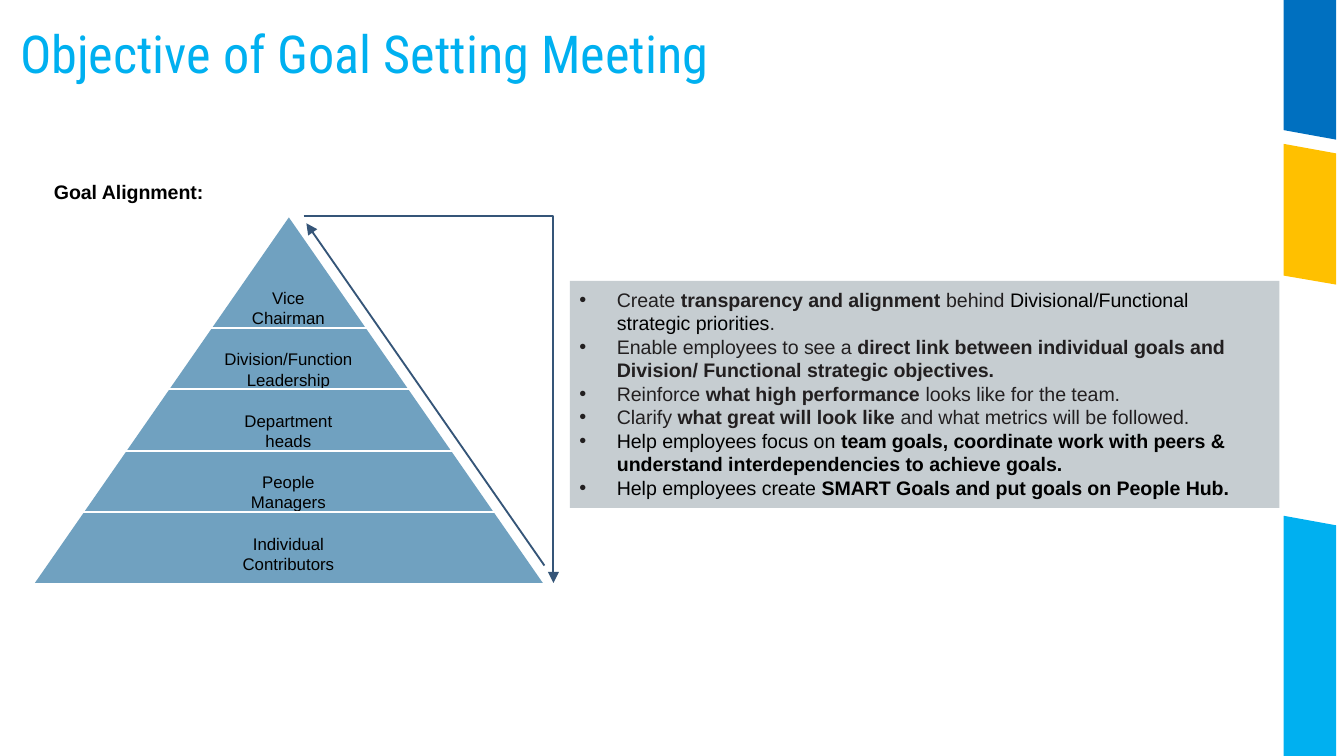
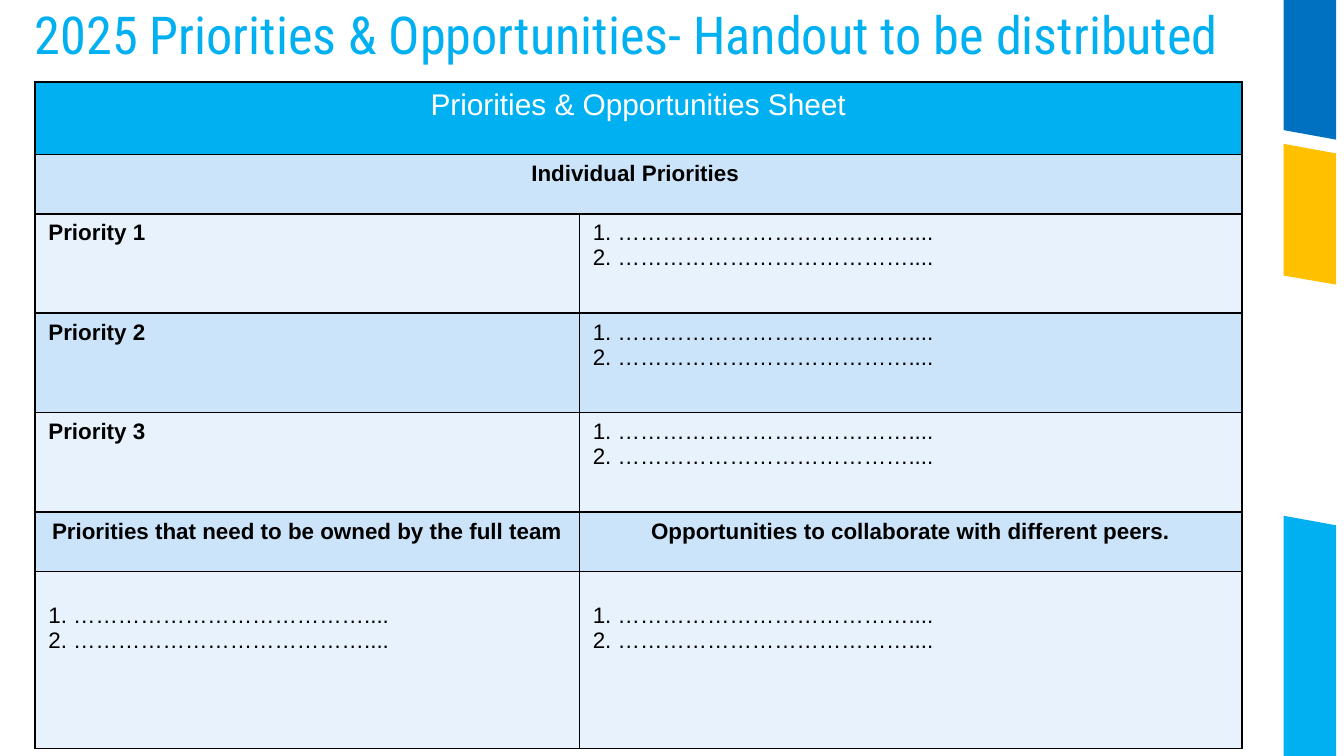
from dataclasses import dataclass

from lxml import etree
from pptx import Presentation
from pptx.dml.color import RGBColor
from pptx.enum import shapes, text
from pptx.oxml import ns
from pptx.util import Cm, Pt


@dataclass(frozen=True)
class Theme:
    sky: str = "00B0F0"
    gold: str = "FFC000"
    blue: str = "0070C0"
    navy: str = "355578"
    steel: str = "70A1C0"
    gray: str = "C6CDD1"
    ink: str = "221F20"
    black: str = "000000"
    white: str = "FFFFFF"
    pale: str = "E7F2FC"
    tint: str = "CCE4F9"
    head: str = "Roboto Condensed"
    body: str = "Arial"
    title: float = 28
    sheet: float = 16
    cell: float = 12
    note: float = 10.5
    label: float = 9


T = Theme()
LEFT, MID = text.PP_ALIGN.LEFT, text.PP_ALIGN.CENTER
TOP, LOW = text.MSO_ANCHOR.TOP, text.MSO_ANCHOR.BOTTOM
PAD = (0.18, 0.13, 0.25, 0.13)


def rgb(code):
    return RGBColor.from_string(code)


def sub(node, tag, **attrs):
    return etree.SubElement(node, ns.qn(tag), attrs)


# Text
def bullet(para, color):
    props = para._p.get_or_add_pPr()
    props.set("marL", str(Cm(0.71)))
    props.set("indent", str(-Cm(0.71)))
    sub(sub(props, "a:buClr"), "a:srgbClr", val=color)
    sub(props, "a:buSzPct", val="101000")
    sub(props, "a:buFont", typeface=T.body)
    sub(props, "a:buChar", char="•")


def write(frame, paras, size=T.note, color=T.black, font=T.body, bold=False,
          align=LEFT, space=None, dot=None):
    """Each paragraph is a string or a list of (text, bold, color) runs."""
    for i, runs in enumerate(paras):
        para = frame.paragraphs[0] if i == 0 else frame.add_paragraph()
        para.alignment = align
        if space:
            para.line_spacing = space
        if dot:
            bullet(para, dot)
        if isinstance(runs, str):
            runs = [(runs, bold, color)]
        for words, strong, hue in runs:
            run = para.add_run()
            run.text = words
            run.font.name = font
            run.font.size = Pt(size)
            run.font.bold = strong
            run.font.color.rgb = rgb(hue)


def setup(frame, pad, anchor=TOP):
    frame.word_wrap = True
    frame.vertical_anchor = anchor
    (frame.margin_left, frame.margin_top,
     frame.margin_right, frame.margin_bottom) = map(Cm, pad)


def put(slide, area, paras, pad=PAD, anchor=TOP, **fmt):
    frame = slide.shapes.add_textbox(*map(Cm, area)).text_frame
    setup(frame, pad, anchor)
    write(frame, paras, **fmt)


# Shapes and lines
def solid(shape, color):
    shape.shadow.inherit = False
    shape.fill.solid()
    shape.fill.fore_color.rgb = rgb(color)
    shape.line.fill.background()


def block(slide, kind, area, color):
    shape = slide.shapes.add_shape(kind, *map(Cm, area))
    solid(shape, color)
    return shape


def trace(slide, points, closed):
    first, *rest = [(Cm(x), Cm(y)) for x, y in points]
    pen = slide.shapes.build_freeform(*first)
    pen.add_line_segments(rest, close=closed)
    shape = pen.convert_to_shape()
    shape.shadow.inherit = False
    return shape


def stroke(shape, color, arrow=False):
    shape.line.color.rgb = rgb(color)
    shape.line.width = Pt(1)
    if arrow:
        sub(shape._element.spPr.find(ns.qn("a:ln")), "a:tailEnd", type="triangle")


def line(slide, start, end, color, arrow=False):
    link = slide.shapes.add_connector(
        shapes.MSO_CONNECTOR.STRAIGHT, *map(Cm, start + end))
    stroke(link, color, arrow)
    sub(link._element.spPr, "a:effectLst")


# Shared frame: side bands and title
def base(deck, title, area):
    slide = deck.slides.add_slide(deck.slide_layouts[6])
    west, east = 24.26, 25.25
    bands = [  # left top, right top, right bottom, left bottom
        (9.75, 9.93, 14.29, 14.29, T.sky),
        (2.72, 2.9, 5.38, 5.21, T.gold),
        (0, 0, 2.64, 2.46, T.blue),
    ]
    for a, b, c, d, color in bands:
        solid(trace(slide, [(west, a), (east, b), (east, c), (west, d)], True), color)
    put(slide, area, [title], pad=(0, 0, 0, 0), anchor=LOW,
        size=T.title, color=T.sky, font=T.head, space=0.9)
    return slide


# Goal pyramid
def tower(slide):
    elbow = trace(slide, [(5.74, 4.09), (10.46, 4.09), (10.46, 11.02)], False)
    elbow.fill.background()
    stroke(elbow, T.navy, arrow=True)
    block(slide, shapes.MSO_SHAPE.ISOSCELES_TRIANGLE, (0.66, 4.11, 9.6, 6.91), T.steel)

    tiers = [("Vice Chairman", 1.8), ("Division/Function Leadership", 3.66),
             ("Department heads", 2.29), ("People Managers", 2.13),
             ("Individual Contributors", 2.79)]
    step = 1.16
    for i, (name, wide) in enumerate(tiers):
        put(slide, (5.45 - wide / 2, 5.31 + i * step, wide, 0.64), [name],
            pad=(0, 0.13, 0, 0.13), size=T.label, align=MID)
    for i in range(len(tiers) - 1):
        y = 6.2 + i * step
        line(slide, (0.61, y), (10.31, y), T.white)
    line(slide, (10.29, 10.69), (5.79, 4.22), T.navy, arrow=True)


def goals(deck):
    slide = base(deck, "Objective of Goal Setting Meeting", (0.38, 0.66, 23.5, 0.94))
    tower(slide)
    points = [
        [("Create ", False, T.ink), ("transparency and alignment ", True, T.ink),
         ("behind ", False, T.ink),
         ("Divisional/Functional strategic priorities", False, T.black),
         (".", False, T.ink)],
        [("Enable employees to see a ", False, T.ink),
         ("direct link between individual goals and Division/ Functional "
          "strategic objectives.", True, T.ink)],
        [("Reinforce ", False, T.ink), ("what high performance ", True, T.ink),
         ("looks like for the team.", False, T.ink)],
        [("Clarify ", False, T.ink), ("what great will look like ", True, T.ink),
         ("and what metrics will be followed.", False, T.ink)],
        [("Help employees focus on ", False, T.black),
         ("team goals, coordinate work with peers & understand "
          "interdependencies to achieve goals.", True, T.black)],
        [("Help employees create ", False, T.black),
         ("SMART Goals and put goals on People Hub.", True, T.black)],
    ]
    panel = block(slide, shapes.MSO_SHAPE.RECTANGLE, (10.77, 5.31, 13.41, 4.29), T.gray)
    setup(panel.text_frame, PAD)
    write(panel.text_frame, points, dot=T.ink)
    put(slide, (0.84, 3.28, 5.41, 0.71), ["Goal Alignment:"], bold=True)


# Priorities table
def edge(cell):
    props = cell._tc.get_or_add_tcPr()
    for i, side in enumerate("LRTB"):
        rule = etree.Element(ns.qn("a:ln" + side), w=str(Pt(1)))
        sub(sub(rule, "a:solidFill"), "a:srgbClr", val=T.black)
        props.insert(i, rule)


def sheet(deck):
    slide = base(deck, "2025 Priorities & Opportunities- Handout to be distributed",
                 (0.66, 0, 24.74, 1.24))
    blanks = [f"{n}. …………………………………...." for n in (1, 2)]
    bold = dict(bold=True)
    mid = dict(bold=True, align=MID)
    top = dict(size=T.sheet, color=T.white, align=MID)
    # height, fill, then (paragraphs, format) per cell
    rows = [
        (1.37, T.sky, [(["Priorities & Opportunities Sheet"], top)]),
        (1.12, T.tint, [(["Individual Priorities "], mid)]),
        *[(1.88, T.tint if n == 2 else T.pale,
           [([f"Priority {n}"], bold), (blanks, {})]) for n in (1, 2, 3)],
        (1.12, T.tint, [(["Priorities that need to be owned by the full team"], mid),
                        (["Opportunities to collaborate with different peers."], mid)]),
        (3.35, T.pale, [(blanks, {}), (blanks, {})]),
    ]
    wide = (10.29, 12.52)
    high = sum(row[0] for row in rows)
    grid = slide.shapes.add_table(
        len(rows), 2, Cm(0.66), Cm(1.55), Cm(sum(wide)), Cm(high)).table
    for col, w in zip(grid.columns, wide):
        col.width = Cm(w)
    for r, (tall, color, cells) in enumerate(rows):
        grid.rows[r].height = Cm(tall)
        for cell in grid.rows[r].cells:
            cell.fill.solid()
            cell.fill.fore_color.rgb = rgb(color)
            edge(cell)
        if len(cells) == 1:
            grid.cell(r, 0).merge(grid.cell(r, 1))
        for c, (paras, fmt) in enumerate(cells):
            write(grid.cell(r, c).text_frame, paras, **{"size": T.cell, **fmt})
    for cell in grid.rows[len(rows) - 1].cells:
        cell.margin_top = Cm(0.6)


def main():
    deck = Presentation()
    deck.slide_width, deck.slide_height = Cm(25.4), Cm(14.29)
    goals(deck)
    sheet(deck)
    deck.save("out.pptx")


if __name__ == "__main__":
    main()
